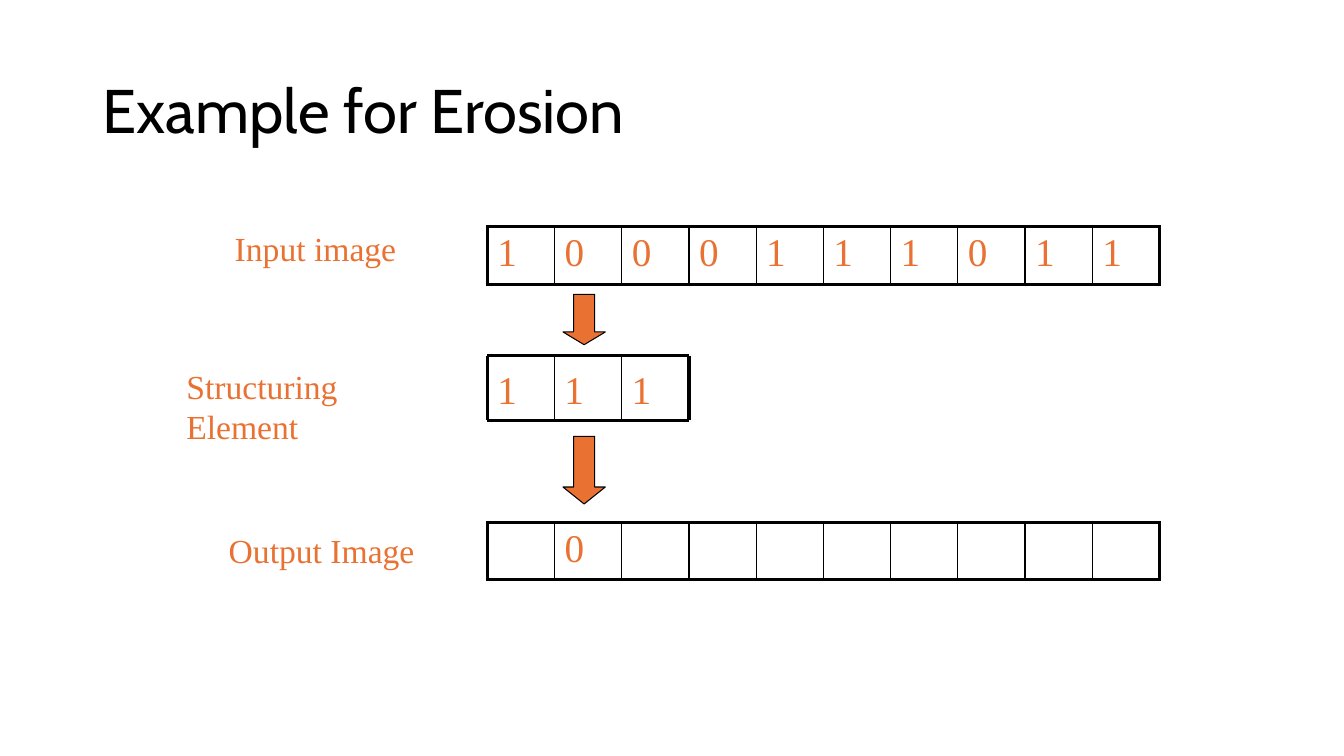
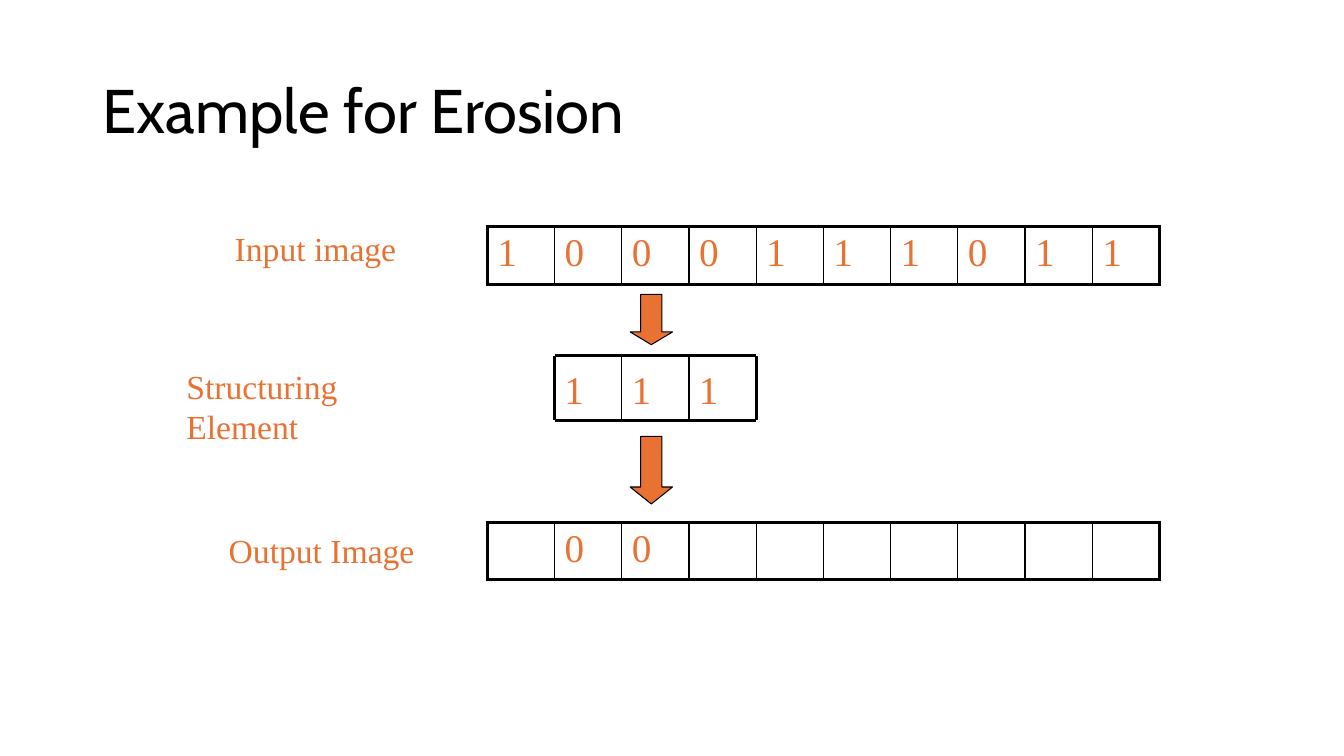
from lxml.etree import SubElement
from pptx import Presentation
from pptx.dml.color import RGBColor
from pptx.enum.shapes import MSO_CONNECTOR, MSO_SHAPE
from pptx.enum.text import MSO_ANCHOR, MSO_AUTO_SIZE, PP_ALIGN
from pptx.oxml.ns import qn
from pptx.util import Inches, Pt

color = RGBColor.from_string
BLACK = "000000"
ORANGE = "E97132"
SERIF = "Times New Roman"
THICK, THIN = 2.25, 1
CELL_WIDTH = 2 / 3
ROW_LEFT = 7.25 * CELL_WIDTH
ELEMENT_TOP, ELEMENT_HEIGHT = 3.53, 0.64

INPUT = "1000111011"
ELEMENT = "111"
LABELS = [
    ("Input image", 2.23, 2.21, 1.8),
    ("Structuring Element", 1.75, 3.58, 2.89),
    ("Output Image", 2.17, 5.21, 2.04),
]
ARROWS = [(2.92, 0.5, 0.3), (4.33, 0.67, 0.4)]  # top, height, head proportion


def set_font(paragraph, name, size, hex_color):
    for run in paragraph.runs:
        run.font.name = name
        run.font.size = Pt(size)
        run.font.color.rgb = color(hex_color)


def add_pixel_row(slide, values, top):
    """Add a one-row table with a thick frame and thin inner dividers."""
    frame = slide.shapes.add_table(
        1, len(values), Inches(ROW_LEFT), Inches(top),
        Inches(CELL_WIDTH * len(values)), Inches(0.57))
    table = frame.table
    table.first_row = False
    table.horz_banding = False
    last = len(values) - 1
    for index, value in enumerate(values):
        table.columns[index].width = Inches(CELL_WIDTH)
        cell = table.cell(0, index)
        cell.text_frame.text = value.strip()
        set_font(cell.text_frame.paragraphs[0], SERIF, 28, ORANGE)
        borders = {
            "a:lnL": THICK if index == 0 else THIN,
            "a:lnR": THICK if index == last else THIN,
            "a:lnT": THICK,
            "a:lnB": THICK,
        }
        properties = cell._tc.get_or_add_tcPr()
        for tag, width in borders.items():
            line = SubElement(properties, qn(tag), w=str(Pt(width)))
            fill = SubElement(line, qn("a:solidFill"))
            SubElement(fill, qn("a:srgbClr"), val=BLACK)
        cell.fill.background()


presentation = Presentation()
presentation.slide_width = Inches(13.33)
presentation.slide_height = Inches(7.5)
title_only = presentation.slide_layouts[5]

# Each step moves the structuring element one cell to the right.
for step, output in enumerate(["0", "00"]):
    slide = presentation.slides.add_slide(title_only)

    title = slide.shapes.title
    title.left, title.top = Inches(0.92), Inches(0.4)
    title.width, title.height = Inches(11.5), Inches(1.45)
    title.text_frame.text = "Example for Erosion"
    title.text_frame.vertical_anchor = MSO_ANCHOR.MIDDLE
    paragraph = title.text_frame.paragraphs[0]
    paragraph.alignment = PP_ALIGN.LEFT
    paragraph.line_spacing = 0.9
    set_font(paragraph, "Cabin", 44, BLACK)

    add_pixel_row(slide, INPUT, 2.25)
    add_pixel_row(slide, f" {output}".ljust(len(INPUT)), 5.18)

    for text, left, top, width in LABELS:
        label = slide.shapes.add_textbox(
            Inches(left), Inches(top), Inches(width), Inches(0.5))
        label.text_frame.word_wrap = False
        label.text_frame.auto_size = MSO_AUTO_SIZE.SHAPE_TO_FIT_TEXT
        label.text_frame.text = text
        set_font(label.text_frame.paragraphs[0], SERIF, 24, ORANGE)

    element_left = ROW_LEFT + step * CELL_WIDTH
    element_right = element_left + CELL_WIDTH * len(ELEMENT)
    element_bottom = ELEMENT_TOP + ELEMENT_HEIGHT
    for index, value in enumerate(ELEMENT):
        digit = slide.shapes.add_textbox(
            Inches(element_left + index * CELL_WIDTH), Inches(ELEMENT_TOP),
            Inches(CELL_WIDTH), Inches(ELEMENT_HEIGHT))
        digit.text_frame.word_wrap = True
        digit.text_frame.margin_top = Inches(0.09)
        digit.text_frame.text = value
        set_font(digit.text_frame.paragraphs[0], SERIF, 28, ORANGE)

    edges = [(element_left, y, element_right, y, THICK)
             for y in (ELEMENT_TOP, element_bottom)]
    for index in range(len(ELEMENT) + 1):
        x = element_left + index * CELL_WIDTH
        width = THICK if index in (0, len(ELEMENT)) else THIN
        edges.append((x, ELEMENT_TOP, x, element_bottom, width))
    for start_x, start_y, end_x, end_y, width in edges:
        edge = slide.shapes.add_connector(
            MSO_CONNECTOR.STRAIGHT, Inches(start_x), Inches(start_y),
            Inches(end_x), Inches(end_y))
        edge.line.color.rgb = color(BLACK)
        edge.line.width = Pt(width)
        SubElement(edge._element.spPr, qn("a:effectLst"))

    for top, height, head in ARROWS:
        arrow = slide.shapes.add_shape(
            MSO_SHAPE.DOWN_ARROW, Inches(element_left + 0.75), Inches(top),
            Inches(0.42), Inches(height))
        arrow.adjustments[0] = 0.5
        arrow.adjustments[1] = head
        arrow.shadow.inherit = False
        arrow.fill.solid()
        arrow.fill.fore_color.rgb = color(ORANGE)
        arrow.line.color.rgb = color(BLACK)
        arrow.line.width = Pt(0.75)

presentation.save("out.pptx")
